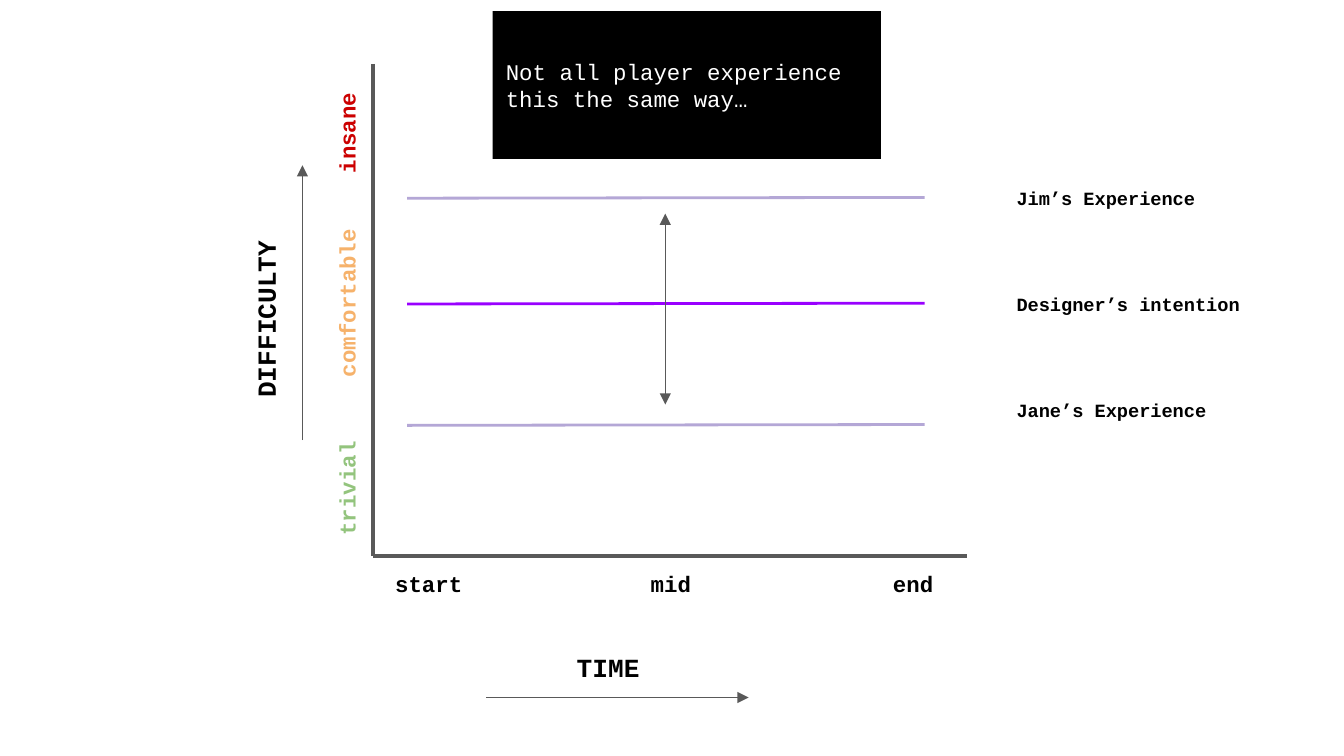
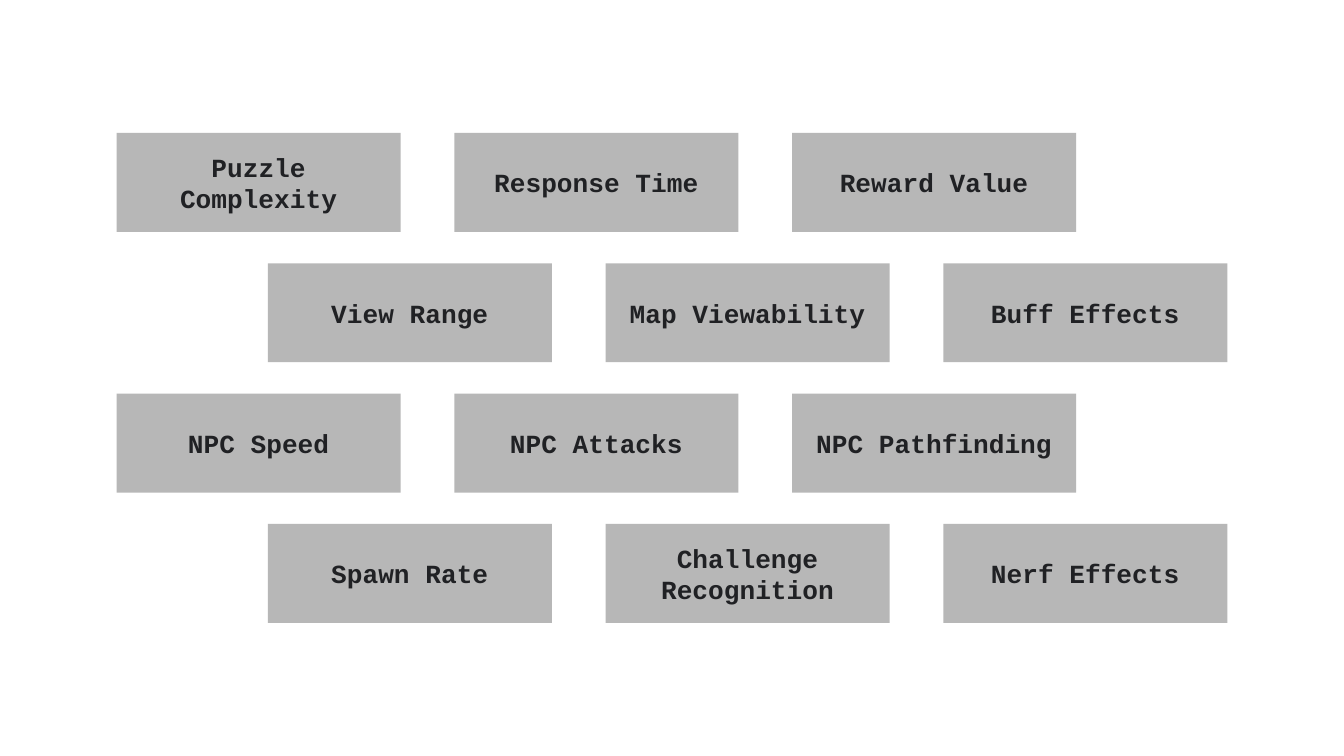
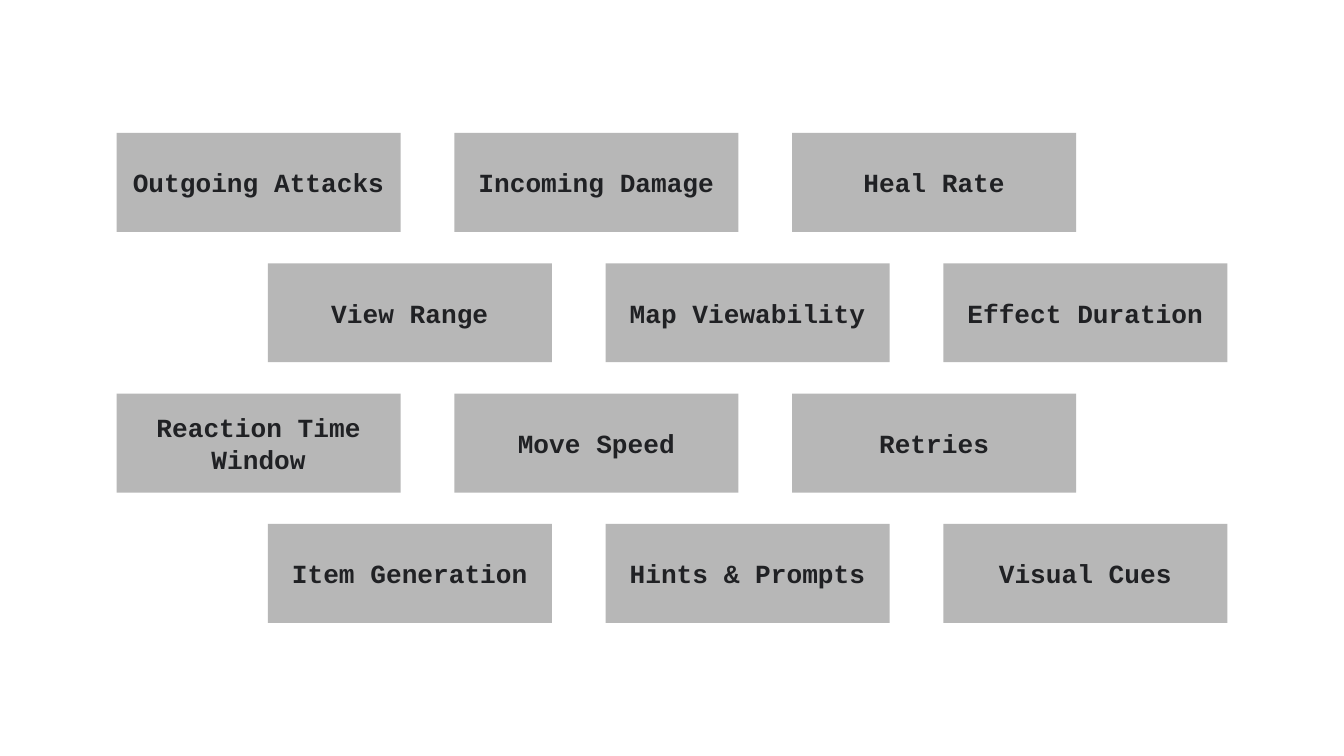
from dataclasses import dataclass

import pptx
import pptx.dml.color
import pptx.enum.shapes
import pptx.enum.text
import pptx.oxml.ns
import pptx.presentation
import pptx.shapes.base
import pptx.slide
import pptx.util
from lxml import etree

RGBColor = pptx.dml.color.RGBColor
ALIGN = pptx.enum.text.PP_ALIGN
RECT = pptx.enum.shapes.MSO_SHAPE.RECTANGLE
STRAIGHT = pptx.enum.shapes.MSO_CONNECTOR.STRAIGHT
qn = pptx.oxml.ns.qn

# Shared look
FONT = "Courier New"
BLACK = RGBColor(0x00, 0x00, 0x00)
WHITE = RGBColor(0xFF, 0xFF, 0xFF)
AXIS_GREY = RGBColor(0x59, 0x59, 0x59)
CARD_GREY = RGBColor(0xB7, 0xB7, 0xB7)
CARD_TEXT = RGBColor(0x20, 0x21, 0x24)
GREEN = RGBColor(0x93, 0xC4, 0x7D)
ORANGE = RGBColor(0xF6, 0xB2, 0x6B)
RED = RGBColor(0xCC, 0x00, 0x00)
PURPLE = RGBColor(0x99, 0x00, 0xFF)
LILAC = RGBColor(0xB4, 0xA7, 0xD6)

# 16:9 slide on a square grid, 100 columns wide
SLIDE_W = pptx.util.Inches(10)
SLIDE_H = SLIDE_W * 9 // 16
CELL = SLIDE_W / 100

# Staggered card grid, in cells
CARD_W, CARD_H = 21.13, 7.36
CARD_LEFT, CARD_TOP = 8.68, 9.89
CARD_STEP_X, CARD_STEP_Y = 25.13, 9.7
CARD_SHIFT = 11.25


@dataclass(frozen=True)
class Label:
    text: str
    left: float
    top: float
    width: float
    height: float
    size: int = 12
    color: RGBColor = BLACK
    rotation: int = 0
    align: ALIGN = ALIGN.CENTER


@dataclass(frozen=True)
class Line:
    x1: float
    y1: float
    x2: float
    y2: float
    color: RGBColor = AXIS_GREY
    width: float = 0.75
    arrow: bool = False


def cells(n: float) -> int:
    return round(n * CELL)


def write(shape: pptx.shapes.base.BaseShape, text: str, size: int, color: RGBColor,
          bold: bool = True, align: ALIGN = ALIGN.CENTER) -> None:
    tf = shape.text_frame
    tf.text = text
    tf.word_wrap = True
    tf.auto_size = pptx.enum.text.MSO_AUTO_SIZE.NONE
    tf.vertical_anchor = pptx.enum.text.MSO_ANCHOR.MIDDLE
    tf.margin_left = tf.margin_top = tf.margin_right = tf.margin_bottom = cells(1)
    p = tf.paragraphs[0]
    p.alignment = align
    font = p.runs[0].font
    font.name, font.size, font.bold = FONT, pptx.util.Pt(size), bold
    font.color.rgb = color


def add_label(s: pptx.slide.Slide, label: Label) -> None:
    box = s.shapes.add_textbox(*map(cells, (label.left, label.top, label.width, label.height)))
    box.rotation = label.rotation
    write(box, label.text, label.size, label.color, align=label.align)


def add_line(s: pptx.slide.Slide, line: Line) -> None:
    c = s.shapes.add_connector(STRAIGHT, *map(cells, (line.x1, line.y1, line.x2, line.y2)))
    c.line.color.rgb = line.color
    c.line.width = pptx.util.Pt(line.width)
    sp_pr = c._element.spPr
    if line.arrow:
        etree.SubElement(sp_pr.find(qn("a:ln")), qn("a:tailEnd"), type="triangle")
    etree.SubElement(sp_pr, qn("a:effectLst"))


def add_box(s: pptx.slide.Slide, left: float, top: float, width: float, height: float,
            fill: RGBColor) -> pptx.shapes.base.BaseShape:
    box = s.shapes.add_shape(RECT, *map(cells, (left, top, width, height)))
    box.shadow.inherit = False
    box.fill.solid()
    box.fill.fore_color.rgb = fill
    box.line.fill.background()
    return box


# Difficulty chart
ORIGIN_X, ORIGIN_Y = 27.75, 41.4
MID_X, MID_Y = 49.5, 22.6

AXES = [
    Line(ORIGIN_X, 4.75, ORIGIN_X, ORIGIN_Y, width=2.25),
    Line(71.95, ORIGIN_Y, ORIGIN_X, ORIGIN_Y, width=2.25),
    Line(36.2, 51.9, 55.7, 51.9, arrow=True),
    Line(22.5, 32.75, 22.5, 12.3, arrow=True),
]
AXIS_LABELS = [
    Label("TIME", 39.9, 48.45, 10.7, 2.4, 14),
    Label("DIFFICULTY", 12.35, 22.55, 14.8, 2.4, 14, rotation=270),
    Label("trivial", 20.6, 35.4, 10.4, 1.9, color=GREEN, rotation=270),
    Label("comfortable", 19, 21.6, 13.6, 1.9, color=ORANGE, rotation=270),
    Label("insane", 20.6, 8.95, 10.4, 1.9, color=RED, rotation=270),
]
AXIS_LABELS += [Label(text, 27.9 + 18.02 * i, 42.5, 8, 1.9)
                for i, text in enumerate(("start", "mid", "end"))]

# Name, label top, line start row, line end row, colour
EXPERIENCES = [
    ("Designer’s intention", 20.35, 22.62, 22.56, PURPLE),
    ("Jim’s Experience", 12.45, 14.75, 14.69, LILAC),
    ("Jane’s Experience", 28.2, 31.65, 31.59, LILAC),
]


def difficulty_slide(prs: pptx.presentation.Presentation) -> None:
    s = prs.slides.add_slide(prs.slide_layouts[6])
    for axis in AXES:
        add_line(s, axis)
    for label in AXIS_LABELS:
        add_label(s, label)
    callout = add_box(s, 36.65, 0.83, 28.9, 11, BLACK)
    write(callout, "Not all player experience this the same way…", 12, WHITE,
          bold=False, align=ALIGN.LEFT)
    for name, top, y1, y2, color in EXPERIENCES:
        add_line(s, Line(30.3, y1, 68.8, y2, color, 1.5))
        add_label(s, Label(name, 74.65, top, 18.8, 4.6, 10, align=ALIGN.LEFT))
    # Spread above and below the intention
    for tip in (15.9, 30.1):
        add_line(s, Line(MID_X, MID_Y, MID_X, tip, arrow=True))


# Card slides
WORLD_CARDS = [
    ["Puzzle Complexity", "Response Time", "Reward Value"],
    ["View Range", "Map Viewability", "Buff Effects"],
    ["NPC Speed", "NPC Attacks", "NPC Pathfinding"],
    ["Spawn Rate", "Challenge Recognition", "Nerf Effects"],
]
PLAYER_CARDS = [
    ["Outgoing Attacks", "Incoming Damage", "Heal Rate"],
    ["View Range", "Map Viewability", "Effect Duration"],
    ["Reaction Time Window", "Move Speed", "Retries"],
    ["Item Generation", "Hints & Prompts", "Visual Cues"],
]


def title_card(s: pptx.slide.Slide, left: float, top: float) -> pptx.shapes.base.BaseShape:
    title = s.shapes.title
    title.left, title.top, title.width, title.height = map(cells, (left, top, CARD_W, CARD_H))
    title.fill.solid()
    title.fill.fore_color.rgb = CARD_GREY
    return title


def card_slide(prs: pptx.presentation.Presentation, rows: list[list[str]]) -> None:
    s = prs.slides.add_slide(prs.slide_layouts[5])
    for r, row in enumerate(rows):
        for c, text in enumerate(row):
            left = CARD_LEFT + c * CARD_STEP_X + r % 2 * CARD_SHIFT
            top = CARD_TOP + r * CARD_STEP_Y
            # The first card is the slide's title
            if r == c == 0:
                card = title_card(s, left, top)
            else:
                card = add_box(s, left, top, CARD_W, CARD_H, CARD_GREY)
            write(card, text, 14, CARD_TEXT)


def main() -> None:
    prs = pptx.Presentation()
    prs.slide_width, prs.slide_height = SLIDE_W, SLIDE_H
    difficulty_slide(prs)
    for rows in (WORLD_CARDS, PLAYER_CARDS):
        card_slide(prs, rows)
    prs.save("out.pptx")


if __name__ == "__main__":
    main()
